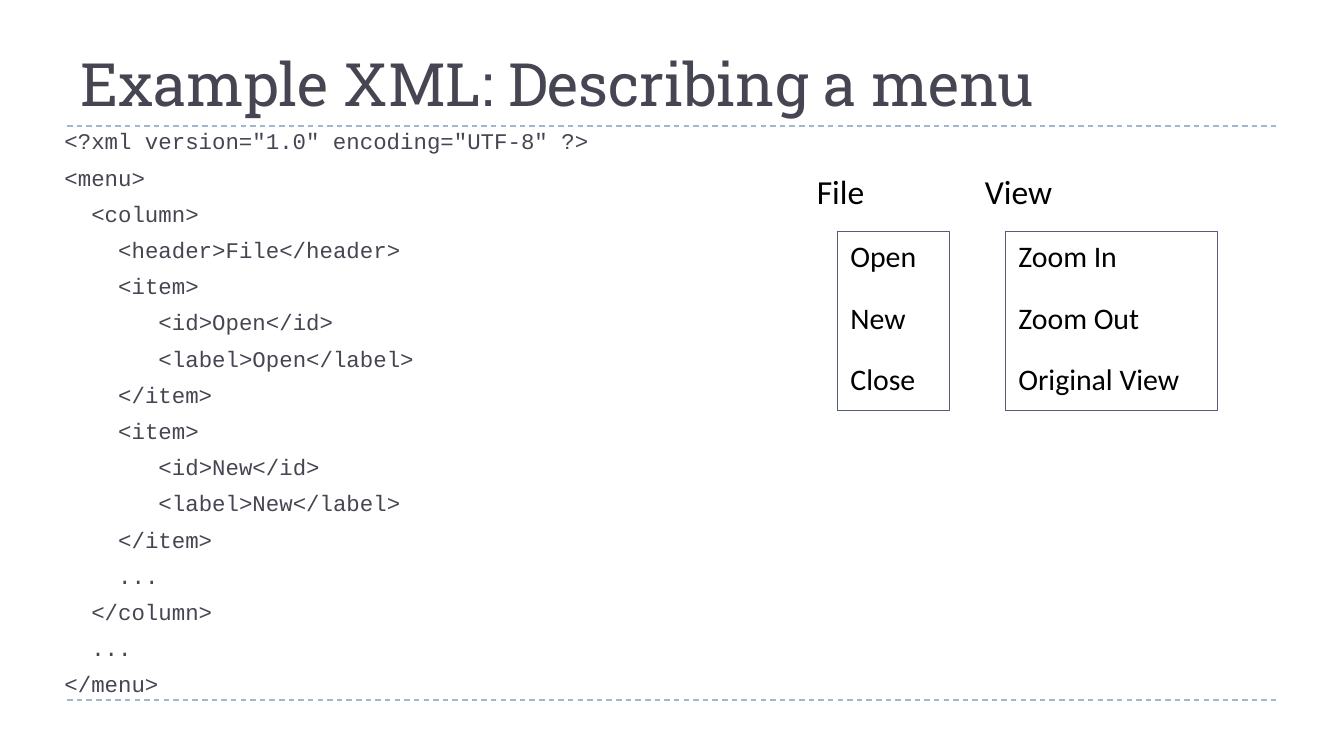
import pptx
import pptx.util
import pptx.dml.color
import pptx.enum.dml
import pptx.enum.shapes
import pptx.enum.text
import pptx.oxml.ns
import lxml.etree

Pt = pptx.util.Pt
COLORS = {"ink": "464653", "rule": "9FB8CD", "frame": "545C79", "menu": "000000"}
CODE_CHAR = 7.2
XML_LINES = [
    (0, '<?xml version="1.0" encoding="UTF-8" ?>'),
    (0, "<menu>"),
    (2, "<column>"),
    (4, "<header>File</header>"),
    (4, "<item>"),
    (7, "<id>Open</id>"),
    (7, "<label>Open</label>"),
    (4, "</item>"),
    (4, "<item>"),
    (7, "<id>New</id>"),
    (7, "<label>New</label>"),
    (4, "</item>"),
    (4, "..."),
    (2, "</column>"),
    (2, "..."),
    (0, "</menu>"),
]
MENUS = [
    (430.5, 60, "File", ["Open", "New", "Close"]),
    (520.5, 114, "View", ["Zoom In", "Zoom Out", "Original View"]),
]


def rgb(name):
    """Return the named colour."""
    return pptx.dml.color.RGBColor.from_string(COLORS[name])


def add_run(paragraph, words, font, size, color):
    """Append one styled run to a paragraph."""
    run = paragraph.add_run()
    run.text = words
    run.font.name = font
    run.font.size = Pt(size)
    run.font.color.rgb = rgb(color)


def add_frame(slide, left, top, width, height, wrap=True):
    """Add a text box and return its text frame."""
    frame = slide.shapes.add_textbox(Pt(left), Pt(top), Pt(width), Pt(height)).text_frame
    frame.word_wrap = wrap
    return frame


def add_rule(slide, left, top, width):
    """Draw a dashed horizontal rule."""
    rule = slide.shapes.add_connector(
        pptx.enum.shapes.MSO_CONNECTOR.STRAIGHT, Pt(left), Pt(top), Pt(left + width), Pt(top))
    rule.line.color.rgb = rgb("rule")
    rule.line.width = Pt(0.75)
    rule.line.dash_style = pptx.enum.dml.MSO_LINE.DASH
    properties = rule._element.spPr
    lxml.etree.SubElement(properties, pptx.oxml.ns.qn("a:effectLst"))


def add_title(slide, left, top, width, height):
    """Place the heading at the bottom of its box."""
    heading = add_frame(slide, left, top, width, height)
    heading.vertical_anchor = pptx.enum.text.MSO_ANCHOR.BOTTOM
    add_run(heading.paragraphs[0], "Example XML: Describing a menu", "Roboto Slab", 32, "ink")


def add_code(slide, left, top, width, height):
    """Place the XML listing, indented by whole characters."""
    listing = add_frame(slide, left, top, width, height)
    for number, (depth, words) in enumerate(XML_LINES):
        line = listing.add_paragraph() if number else listing.paragraphs[0]
        line.space_before = Pt(5)
        properties = line._p.get_or_add_pPr()
        properties.set("marL", str(Pt(21.6 + depth * CODE_CHAR)))
        properties.set("indent", "0")
        add_run(line, words, "Courier New", 12, "ink")


def add_menu(slide, left, top, width, header, items):
    """Place a menu header above its framed column of items."""
    title = add_frame(slide, left, top, 54, 29, wrap=False)
    add_run(title.paragraphs[0], header, "Calibri", 18, "menu")
    panel_left, panel_top = left + 18, top + 36
    for row, label in enumerate(items):
        item = add_frame(slide, panel_left, panel_top + 33 * row, width, 26.6, wrap=False)
        add_run(item.paragraphs[0], label, "Calibri", 16, "menu")
    panel = slide.shapes.add_shape(
        pptx.enum.shapes.MSO_SHAPE.RECTANGLE,
        Pt(panel_left), Pt(panel_top), Pt(width), Pt(96))
    panel.shadow.inherit = False
    panel.fill.background()
    panel.line.color.rgb = rgb("frame")
    panel.line.width = Pt(0.5)


def build_slide(deck):
    """Lay out the whole menu example slide."""
    slide = deck.slides.add_slide(deck.slide_layouts[6])
    for top in (375, 67.5):
        add_rule(slide, 36, top, 648)
    add_title(slide, 36, 8.9, 648, 58.4)
    add_code(slide, 5.8, 64.8, 472, 317)
    for left, width, header, items in MENUS:
        add_menu(slide, left, 87.8, width, header, items)


deck = pptx.Presentation()
deck.slide_width, deck.slide_height = Pt(720), Pt(405)
build_slide(deck)
deck.save("out.pptx")
